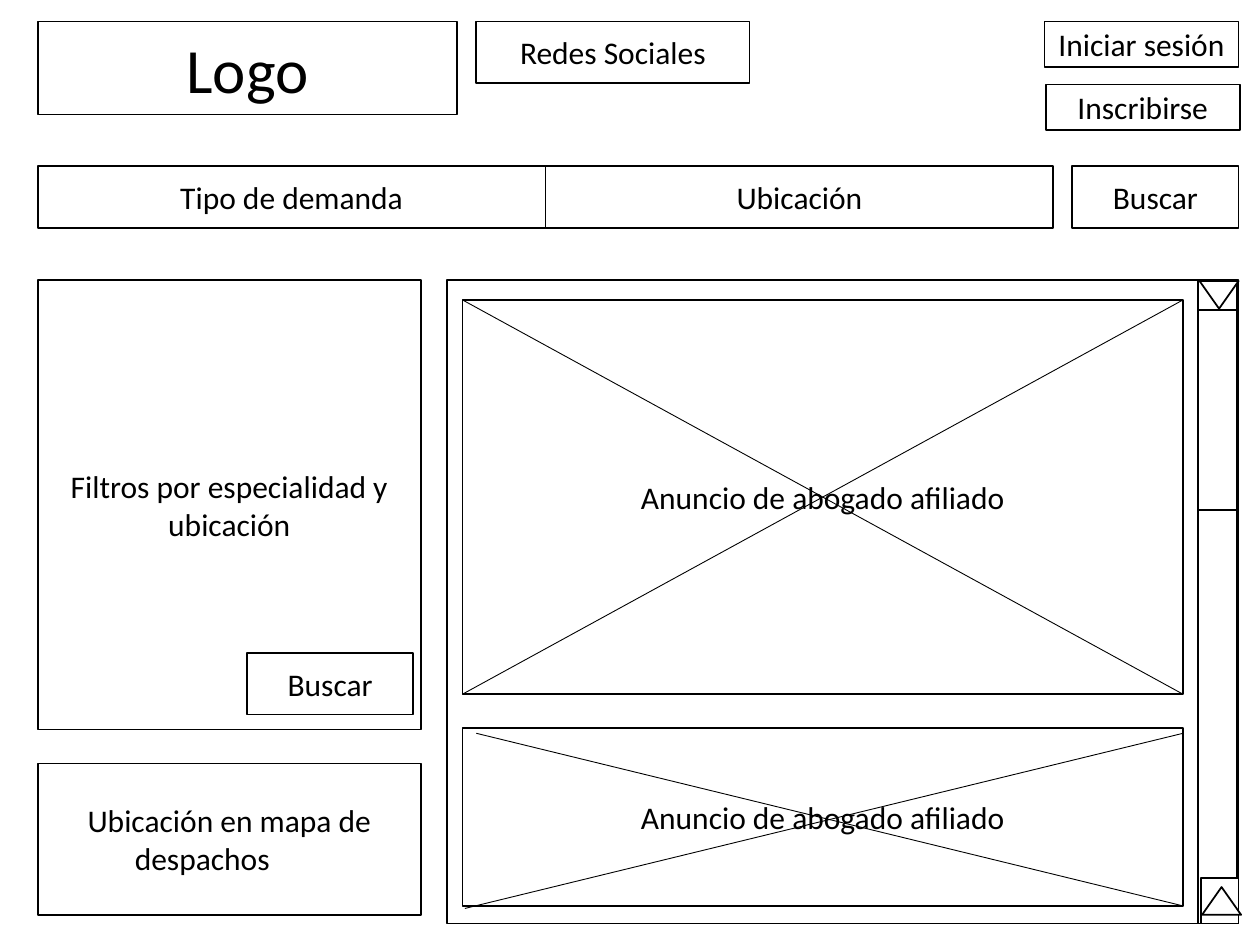
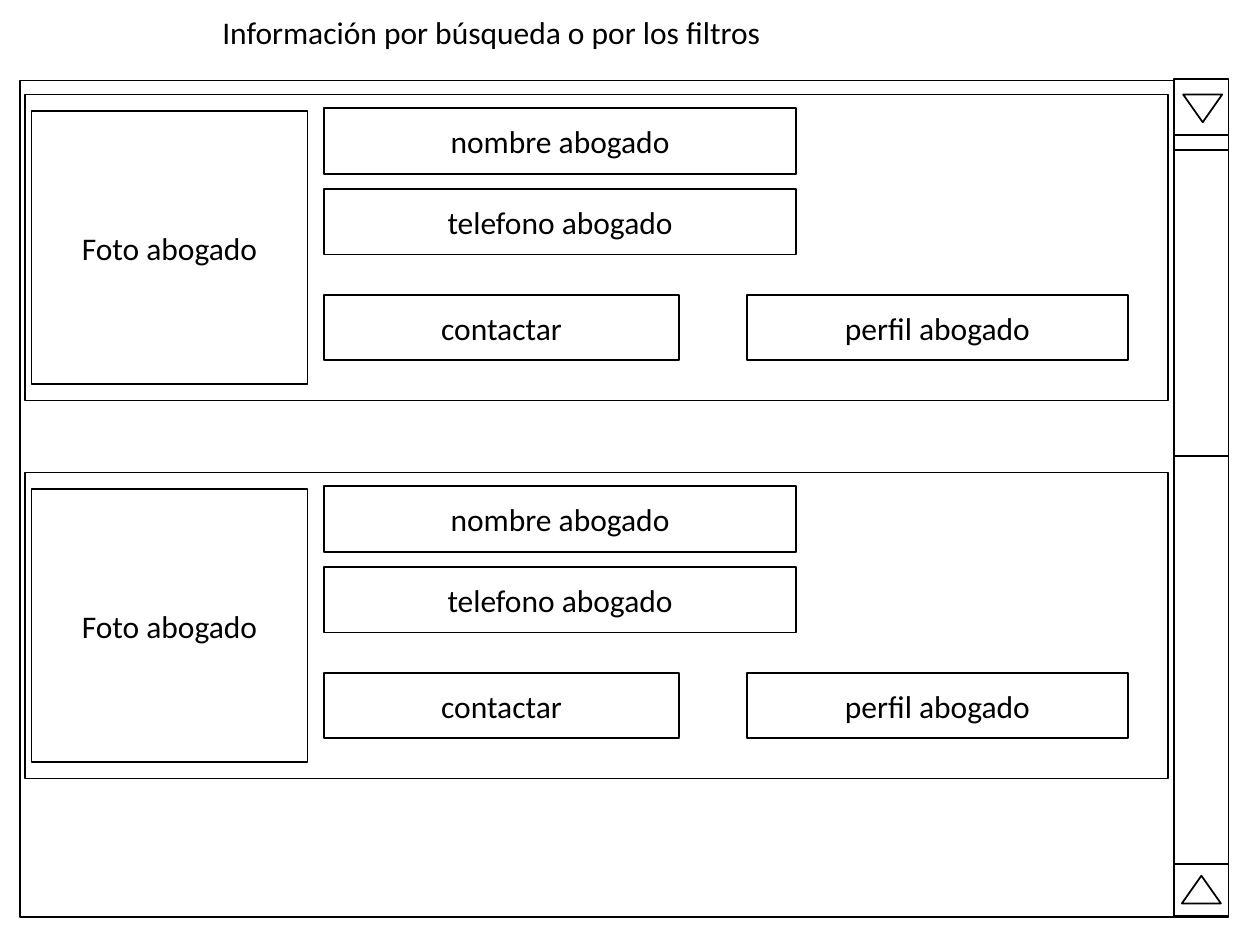
from lxml.etree import SubElement
from pptx import Presentation
from pptx.dml.color import RGBColor
from pptx.enum.shapes import MSO_CONNECTOR as CONNECTOR, MSO_SHAPE as SHAPE
from pptx.enum.text import MSO_ANCHOR as ANCHOR, PP_ALIGN as ALIGN
from pptx.oxml.ns import qn
from pptx.util import Inches, Pt

INK, PAPER = "000000", "FFFFFF"
FONT = "Calibri"
ARROW_SIZE = (0.31, 0.22)


def color(hex_string):
    """Turn a hex string into a colour."""
    return RGBColor.from_string(hex_string)


def add_box(slide, left, top, width, height, text="", size=18, kind=SHAPE.RECTANGLE):
    """Add an outlined white shape, with centred text if there is any."""
    shape = slide.shapes.add_shape(
        kind, Inches(left), Inches(top), Inches(width), Inches(height))
    shape.shadow.inherit = False
    shape.fill.solid()
    shape.fill.fore_color.rgb = color(PAPER)
    shape.line.color.rgb = color(INK)
    shape.line.width = Pt(1)
    if text:
        frame = shape.text_frame
        frame.word_wrap = True
        frame.vertical_anchor = ANCHOR.MIDDLE
        paragraph = frame.paragraphs[0]
        paragraph.text = text
        paragraph.alignment = ALIGN.CENTER
        paragraph.font.name = FONT
        paragraph.font.size = Pt(size)
        paragraph.font.color.rgb = color(INK)
    return shape


presentation = Presentation()
presentation.slide_width = Inches(10)
presentation.slide_height = Inches(7.5)
blank = presentation.slide_layouts[6]

# Slide 1: home page
home = presentation.slides.add_slide(blank)

# Header and search bar
add_box(home, 0.3, 0.17, 3.33, 0.74, "Logo", size=36)
add_box(home, 3.78, 0.17, 2.17, 0.49, "Redes Sociales")
add_box(home, 8.29, 0.17, 1.54, 0.36, "Iniciar sesión")
add_box(home, 8.3, 0.67, 1.54, 0.36, "Inscribirse")
for left, width, text in [(0.3, 4.03, "Tipo de demanda"),
                          (4.33, 4.03, "Ubicación"),
                          (8.51, 1.32, "Buscar")]:
    add_box(home, left, 1.32, width, 0.49, text)

# Left column; the tab shifts the last line of the map label
add_box(home, 0.3, 2.22, 3.04, 3.57, "Filtros por especialidad y ubicación")
add_box(home, 1.96, 5.18, 1.32, 0.49, "Buscar")
add_box(home, 0.3, 6.06, 3.04, 1.2, "Ubicación en mapa de despachos\t")

# Advertisements, each crossed by two diagonals
add_box(home, 3.55, 2.22, 6.28, 5.11)
advertisements = [
    (2.38, 3.13, [(3.67, 2.38, 9.39, 5.51), (3.67, 5.51, 9.39, 2.38)]),
    (5.78, 1.41, [(3.69, 7.21, 9.39, 5.82), (3.78, 5.82, 9.39, 7.19)]),
]
for top, height, diagonals in advertisements:
    add_box(home, 3.67, top, 5.72, height, "Anuncio de abogado afiliado")
    for ends in diagonals:
        line = home.shapes.add_connector(
            CONNECTOR.STRAIGHT, *[Inches(value) for value in ends])
        line.line.color.rgb = color(INK)
        line.line.width = Pt(0.5)
        SubElement(line._element.spPr, qn("a:effectLst"))

# Slide 2: search results
results = presentation.slides.add_slide(blank)
title = add_box(results, 0.09, 0.05, 7.62, 0.41,
                "Información por búsqueda o por los filtros")
title.line.fill.background()
add_box(results, 0.16, 0.64, 9.59, 6.64)

CARD_PARTS = [
    (0.25, 0.13, 2.19, 2.17, "Foto abogado"),
    (2.57, 0.11, 3.75, 0.52, "nombre abogado"),
    (2.57, 0.75, 3.75, 0.52, "telefono abogado"),
    (2.57, 1.59, 2.82, 0.52, "contactar"),
    (5.93, 1.59, 3.02, 0.52, "perfil abogado"),
]
for card_top in (0.75, 3.75):
    add_box(results, 0.2, card_top, 9.07, 2.43)
    for left, offset, width, height, text in CARD_PARTS:
        add_box(results, left, card_top + offset, width, height, text)

# Scroll bars: track parts, then the down and up arrows
scroll_bars = [
    (home,
     [(9.51, 2.22, 0.31, 5.11), (9.51, 2.46, 0.31, 1.59), (9.53, 6.97, 0.3, 0.36)],
     (9.52, 2.23), (9.54, 7.04)),
    (results,
     [(9.32, 0.63, 0.43, 6.64), (9.32, 1.07, 0.43, 5.79), (9.32, 1.19, 0.43, 2.43)],
     (9.39, 0.75), (9.38, 6.95)),
]
for slide, track_parts, down_place, up_place in scroll_bars:
    for part in track_parts:
        add_box(slide, *part)
    for place, rotation in [(down_place, 180), (up_place, 0)]:
        arrow = add_box(slide, *place, *ARROW_SIZE, kind=SHAPE.ISOSCELES_TRIANGLE)
        arrow.rotation = rotation

presentation.save("out.pptx")
